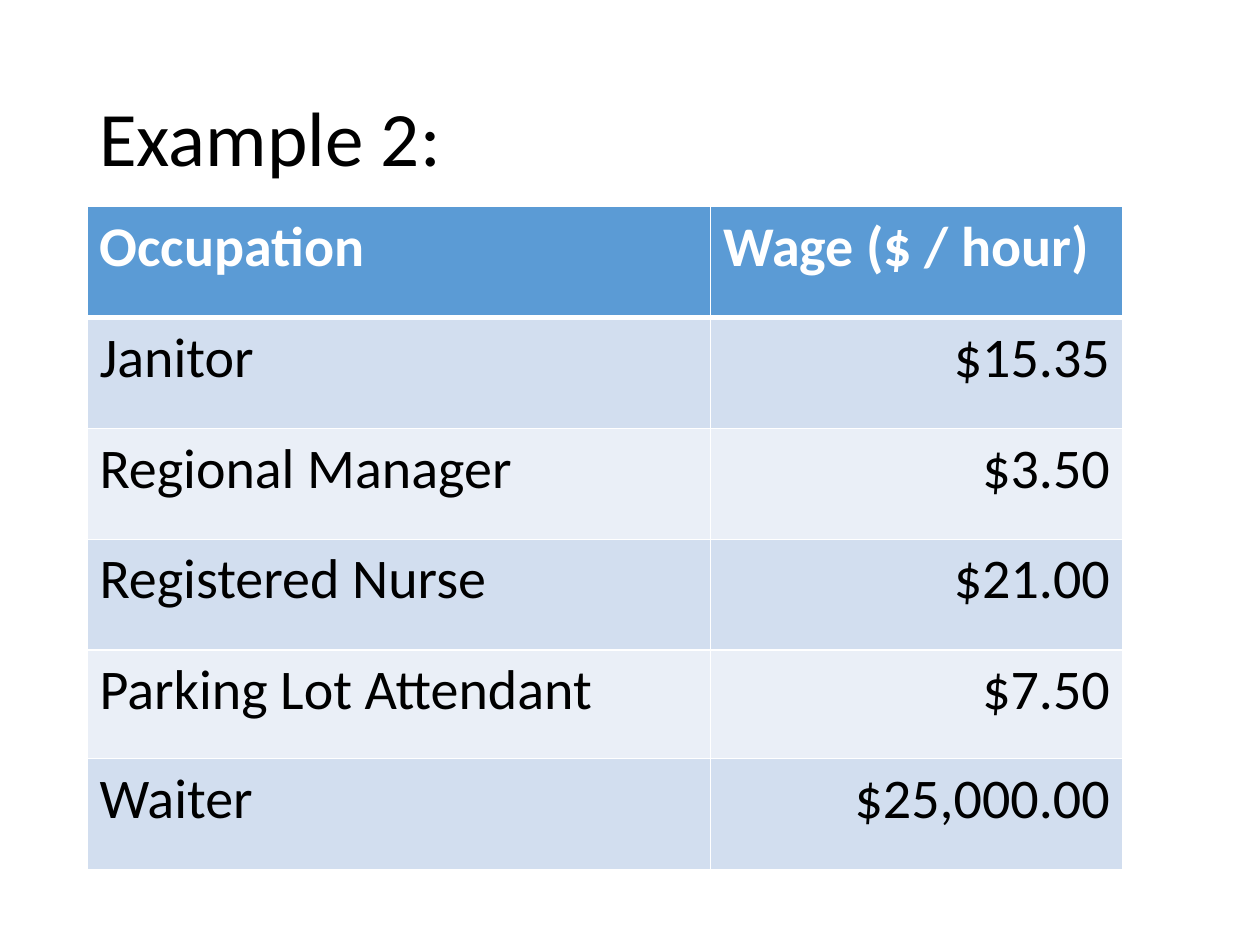
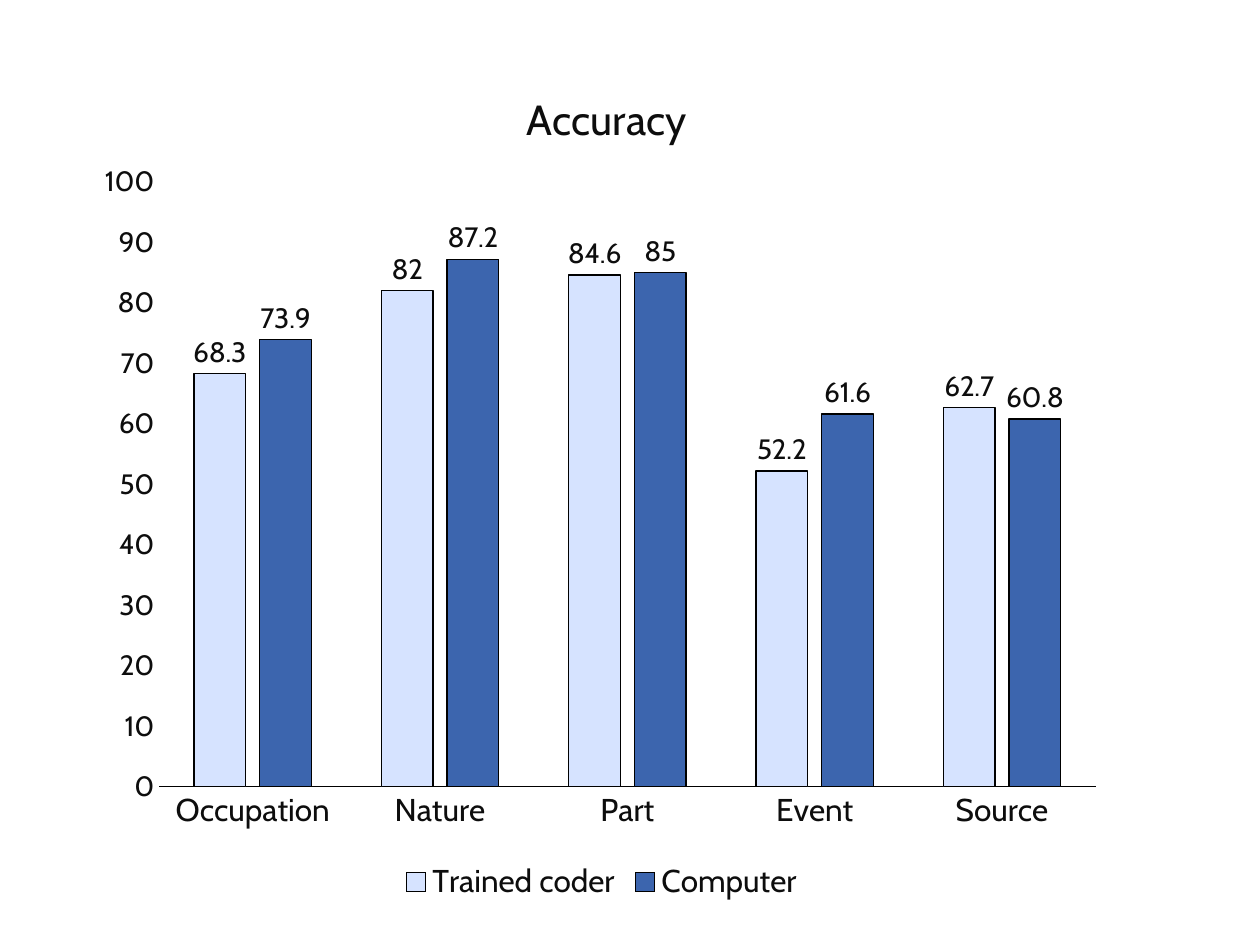
from dataclasses import dataclass

import pptx
import pptx.chart.data
import pptx.dml.color
import pptx.enum.chart
import pptx.enum.text
import pptx.oxml
import pptx.oxml.ns
import pptx.util
from lxml import etree

Inches = pptx.util.Inches
Pt = pptx.util.Pt


@dataclass(frozen=True)
class Theme:
    # Colours
    black: str = "000000"
    white: str = "FFFFFF"
    header: str = "5B9BD5"
    bands: tuple = ("D2DEEF", "EAEFF7")
    chart_text: str = "0D0D0D"
    series: tuple = ("D6E3FF", "3C65AE")
    # Fonts and type sizes
    body_font: str = "Calibri"
    chart_font: str = "Cabin"
    title_size: int = 44
    table_size: int = 32
    chart_title_size: int = 24
    category_size: int = 18
    value_size: int = 16


THEME = Theme()
LEFT = 0.69

WAGES = [
    ("Occupation", "Wage ($ / hour)"),
    ("Janitor", "$15.35"),
    ("Regional Manager", "$3.50"),
    ("Registered Nurse", "$21.00"),
    ("Parking Lot Attendant", "$7.50"),
    ("Waiter", "$25,000.00"),
]
CODED_FIELDS = ["Occupation", "Nature", "Part", "Event", "Source"]
ACCURACY = {
    "Trained coder": [68.3, 82, 84.6, 52.2, 62.7],
    "Computer": [73.9, 87.2, 85, 61.6, 60.8],
}


def rgb(color):
    return pptx.dml.color.RGBColor.from_string(color)


def style_font(font, size, color, name, bold=False):
    font.size = Pt(size)
    font.color.rgb = rgb(color)
    font.name = name
    font.bold = bold


def add_run(p, text, *style):
    r = p.add_run()
    r.text = text
    style_font(r.font, *style)


def add_slide(prs):
    return prs.slides.add_slide(prs.slide_layouts[6])


def add_title(s, text):
    sp = s.shapes.add_textbox(Inches(LEFT), Inches(0.4), Inches(8.62), Inches(1.45))
    tf = sp.text_frame
    tf.word_wrap = True
    tf.vertical_anchor = pptx.enum.text.MSO_ANCHOR.MIDDLE
    p = tf.paragraphs[0]
    p.line_spacing = 0.9
    add_run(p, text, THEME.title_size, THEME.black, THEME.body_font)


def set_borders(cell, top, bottom):
    """Draw white borders; they must come before the fill of the cell."""
    tc_pr = cell._tc.get_or_add_tcPr()
    for side, width in (("L", 1), ("R", 1), ("T", top), ("B", bottom)):
        tc_pr.append(pptx.oxml.parse_xml(
            f'<a:ln{side} {pptx.oxml.ns.nsdecls("a")} w="{Pt(width)}"><a:solidFill>'
            f'<a:srgbClr val="{THEME.white}"/></a:solidFill></a:ln{side}>'))


def add_wage_table(s, rows):
    widths = (4.95, 3.27)
    heights = [0.88] * len(rows)
    heights[4] = 0.86
    frame = s.shapes.add_table(len(rows), len(widths), Inches(LEFT), Inches(1.64),
                               Inches(sum(widths)), Inches(sum(heights)))
    table = frame.table
    for column, width in zip(table.columns, widths):
        column.width = Inches(width)
    for i, (row, texts) in enumerate(zip(table.rows, rows)):
        row.height = Inches(heights[i])
        header = i == 0
        fill = THEME.header if header else THEME.bands[(i - 1) % 2]
        color = THEME.white if header else THEME.black
        for j, (cell, text) in enumerate(zip(row.cells, texts)):
            # A heavier rule separates the header from the body
            set_borders(cell, 3 if i == 1 else 1, 3 if header else 1)
            cell.fill.solid()
            cell.fill.fore_color.rgb = rgb(fill)
            p = cell.text_frame.paragraphs[0]
            if j == 1 and not header:
                p.alignment = pptx.enum.text.PP_ALIGN.RIGHT
            add_run(p, text, THEME.table_size, color, THEME.body_font, header)


def set_layout(element, **fractions):
    """Place a chart part by fractions of the chart area."""
    for old in element.findall(pptx.oxml.ns.qn("c:layout")):
        element.remove(old)
    layout = pptx.oxml.parse_xml(f'<c:layout {pptx.oxml.ns.nsdecls("c")}/>')
    manual = etree.SubElement(layout, pptx.oxml.ns.qn("c:manualLayout"))
    settings = {"xMode": "edge", "yMode": "edge", **fractions}
    if "w" in fractions:
        settings = {"layoutTarget": "inner", **settings}
    for name, value in settings.items():
        etree.SubElement(manual, pptx.oxml.ns.qn(f"c:{name}")).set("val", str(value))
    text = element.find(pptx.oxml.ns.qn("c:tx"))
    if text is None:
        element.insert(0, layout)
    else:
        text.addnext(layout)


def style_outline(line):
    line.color.rgb = rgb(THEME.black)
    line.width = Pt(0.75)


def style_axis(axis, size):
    axis.has_major_gridlines = False
    axis.major_tick_mark = pptx.enum.chart.XL_TICK_MARK.NONE
    axis.minor_tick_mark = pptx.enum.chart.XL_TICK_MARK.NONE
    style_font(axis.tick_labels.font, size, THEME.chart_text, THEME.chart_font)


def style_series(series, color):
    series.format.fill.solid()
    series.format.fill.fore_color.rgb = rgb(color)
    style_outline(series.format.line)
    labels = series.data_labels
    labels.show_value = True
    labels.position = pptx.enum.chart.XL_LABEL_POSITION.OUTSIDE_END
    style_font(labels.font, THEME.value_size, THEME.chart_text, THEME.chart_font)


def add_column_chart(s, title, categories, values):
    data = pptx.chart.data.CategoryChartData()
    data.categories = categories
    for name, numbers in values.items():
        data.add_series(name, numbers)
    chart = s.shapes.add_chart(
        pptx.enum.chart.XL_CHART_TYPE.COLUMN_CLUSTERED,
        Inches(LEFT), Inches(0.38), Inches(8.17), Inches(6.82), data).chart
    style_font(chart.font, 10, THEME.black, THEME.body_font)

    # Title and legend
    chart.has_title = True
    add_run(chart.chart_title.text_frame.paragraphs[0], title,
            THEME.chart_title_size, THEME.chart_text, THEME.chart_font)
    set_layout(chart.chart_title._element, x=0.42, y=0.04)
    chart.has_legend = True
    chart.legend.position = pptx.enum.chart.XL_LEGEND_POSITION.BOTTOM
    chart.legend.include_in_layout = False
    style_font(chart.legend.font, THEME.category_size, THEME.chart_text,
               THEME.chart_font)

    # Axes
    style_axis(chart.category_axis, THEME.category_size)
    style_outline(chart.category_axis.format.line)
    style_axis(chart.value_axis, THEME.value_size)
    chart.value_axis.format.line.fill.background()
    chart.value_axis.minimum_scale = 0
    chart.value_axis.maximum_scale = 100
    chart.value_axis.major_unit = 10

    # Columns
    plot = chart.plots[0]
    plot.vary_by_categories = False
    plot.gap_width = 135
    plot.overlap = -27
    for series, color in zip(plot.series, THEME.series):
        style_series(series, color)
    plot_area = chart._chartSpace.chart.plotArea
    set_layout(plot_area, x=0.07, y=0.156, w=0.91, h=0.704)


def main():
    prs = pptx.Presentation()
    prs.slide_width = Inches(10)
    prs.slide_height = Inches(7.5)

    # Wages by occupation
    s = add_slide(prs)
    add_title(s, "Example 2:")
    add_wage_table(s, WAGES)

    # Coding accuracy
    s = add_slide(prs)
    add_column_chart(s, "Accuracy", CODED_FIELDS, ACCURACY)

    prs.save("out.pptx")


if __name__ == "__main__":
    main()
